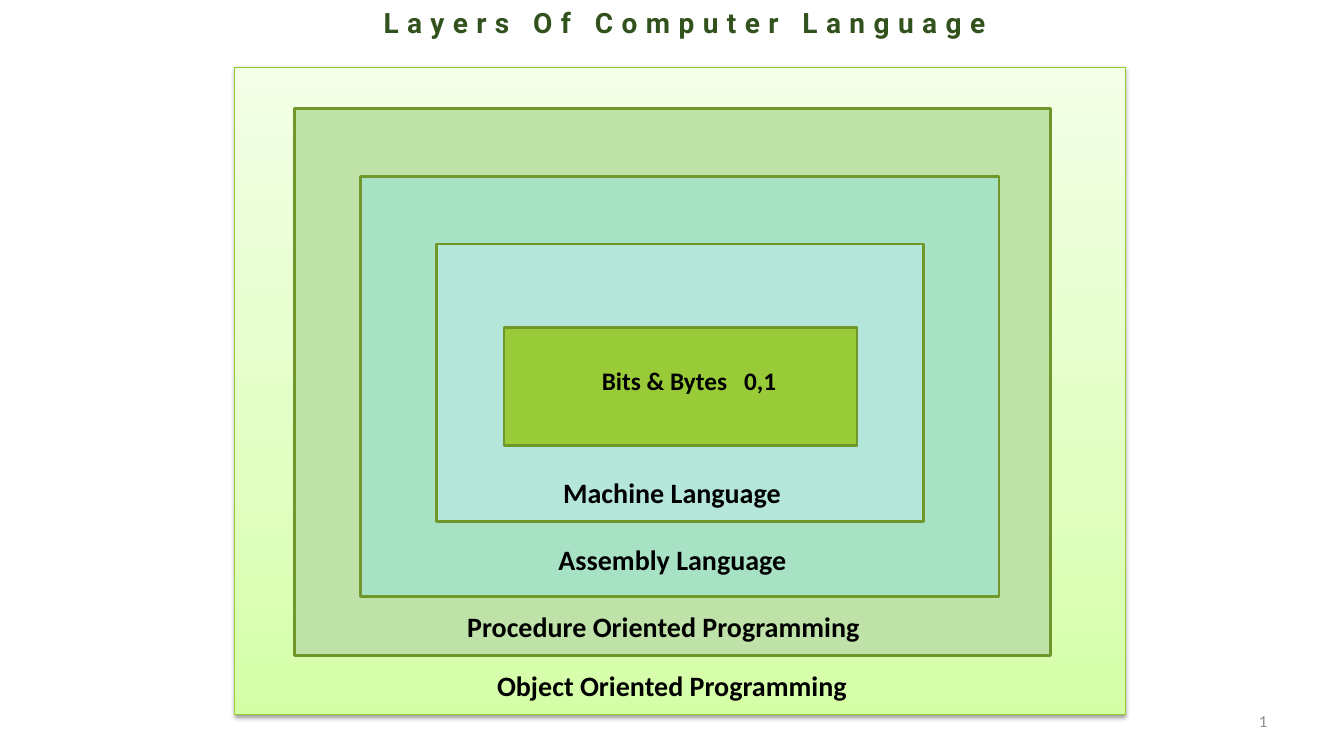
from lxml.etree import SubElement
from pptx import Presentation
from pptx.dml.color import RGBColor
from pptx.enum.shapes import MSO_SHAPE
from pptx.enum.text import MSO_ANCHOR, MSO_AUTO_SIZE, PP_ALIGN
from pptx.oxml import parse_xml
from pptx.oxml.ns import nsdecls, qn
from pptx.util import Emu, Pt

PX = 9144
SLIDE_SIZE = (1333, 750)

BLACK = RGBColor(0x00, 0x00, 0x00)
TITLE_GREEN = RGBColor(0x31, 0x52, 0x1C)
NUMBER_GRAY = RGBColor(0x8C, 0x8C, 0x8C)
OUTER_EDGE = RGBColor(0x97, 0xCA, 0x33)
INNER_EDGE = RGBColor(0x71, 0x96, 0x29)
SAGE = RGBColor(0xBF, 0xE2, 0xA8)
MINT = RGBColor(0xA8, 0xE2, 0xC5)
AQUA = RGBColor(0xB4, 0xE6, 0xDA)
LIME = RGBColor(0x99, 0xCB, 0x38)
GRADIENT_STOPS = [
    (0, RGBColor(0xD5, 0xFF, 0xA7)),
    (35, RGBColor(0xE1, 0xFF, 0xC1)),
    (100, RGBColor(0xF3, 0xFF, 0xE7)),
]

TITLE = ("Layers Of Computer Language", (350, 0, 658, 44))
OUTER_LAYER = (233, 67, 883, 642)
INNER_LAYERS = [
    ((292, 108, 750, 542), SAGE),
    ((358, 175, 633, 417), MINT),
    ((433, 242, 483, 275), AQUA),
    ((500, 325, 350, 117), LIME),
]
LABELS = [
    ("Object Oriented Programming", (425, 658, 483, 44), 20),
    ("Procedure Oriented Programming", (433, 600, 450, 44), 20),
    ("Assembly Language", (467, 533, 400, 44), 20),
    ("Machine Language", (533, 467, 267, 44), 20),
    ("Bits & Bytes   0,1", (542, 358, 283, 40), 18),
]
SLIDE_NUMBER = ("1", (956, 695, 311, 40))


def scaled(box):
    return [Emu(length * PX) for length in box]


def set_attributes(target, values):
    for name, value in values.items():
        setattr(target, name, value)


def write_text(shape, text, size, color, font="Calibri", bold=True,
               align=PP_ALIGN.CENTER, anchor=MSO_ANCHOR.TOP):
    frame = shape.text_frame
    frame.text = text
    set_attributes(frame, {"word_wrap": True, "vertical_anchor": anchor,
                           "auto_size": MSO_AUTO_SIZE.NONE})
    paragraph = frame.paragraphs[0]
    paragraph.alignment = align
    run = paragraph.runs[0]
    set_attributes(run.font, {"name": font, "size": Pt(size), "bold": bold})
    run.font.color.rgb = color
    return run


def add_layer(slide, box, edge, width):
    shape = slide.shapes.add_shape(MSO_SHAPE.RECTANGLE, *scaled(box))
    shape.line.color.rgb = edge
    shape.line.width = Pt(width)
    shape.shadow.inherit = False
    return shape


def add_outer_layer(slide):
    shape = add_layer(slide, OUTER_LAYER, OUTER_EDGE, 0.75)
    properties = shape._element.spPr
    stops = "".join(
        f'<a:gs pos="{position * 1000}"><a:srgbClr val="{color}"/></a:gs>'
        for position, color in GRADIENT_STOPS)
    properties.find(qn("a:prstGeom")).addnext(parse_xml(
        f'<a:gradFill {nsdecls("a")} rotWithShape="1"><a:gsLst>{stops}</a:gsLst>'
        '<a:lin ang="16200000" scaled="0"/></a:gradFill>'))
    properties.find(qn("a:effectLst")).append(parse_xml(
        f'<a:outerShdw {nsdecls("a")} blurRad="{Pt(3.1)}" dist="{Pt(1.6)}" '
        'dir="5400000" rotWithShape="0"><a:srgbClr val="000000">'
        '<a:alpha val="38000"/></a:srgbClr></a:outerShdw>'))


def add_title(slide):
    text, box = TITLE
    title = slide.shapes.title
    set_attributes(title, dict(zip(("left", "top", "width", "height"), scaled(box))))
    run = write_text(title, text, 20, TITLE_GREEN, font="Roboto")
    run.font._element.set("spc", "600")


def add_slide_number(slide):
    text, box = SLIDE_NUMBER
    shape = slide.shapes.add_textbox(*scaled(box))
    run = write_text(shape, text, 12, NUMBER_GRAY, bold=False,
                     align=PP_ALIGN.RIGHT, anchor=MSO_ANCHOR.MIDDLE)
    paragraph = shape.text_frame.paragraphs[0]._p
    field = SubElement(paragraph, qn("a:fld"), type="slidenum",
                       id="{B6F15528-21DE-4FAA-801E-634DDDAF4B2B}")
    field.extend(list(run._r))
    paragraph.remove(run._r)


def main():
    presentation = Presentation()
    width, height = scaled(SLIDE_SIZE)
    set_attributes(presentation, {"slide_width": width, "slide_height": height})
    slide = presentation.slides.add_slide(presentation.slide_layouts[5])
    add_title(slide)
    add_outer_layer(slide)
    for box, color in INNER_LAYERS:
        shape = add_layer(slide, box, INNER_EDGE, 2)
        shape.fill.solid()
        shape.fill.fore_color.rgb = color
    for text, box, size in LABELS:
        write_text(slide.shapes.add_textbox(*scaled(box)), text, size, BLACK)
    add_slide_number(slide)
    presentation.save("out.pptx")


if __name__ == "__main__":
    main()
